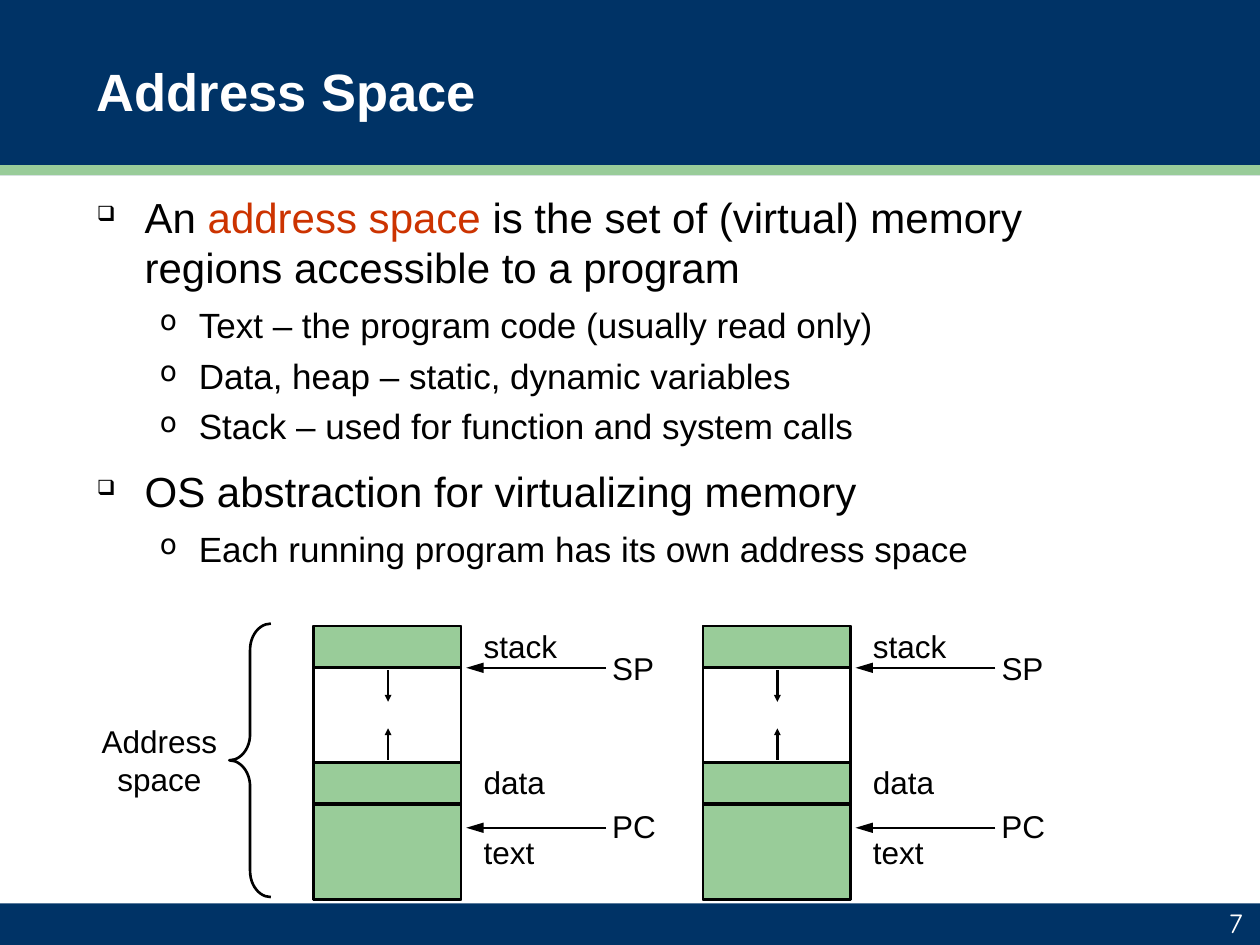
from lxml import etree
from pptx import Presentation
from pptx.dml.color import RGBColor
from pptx.enum import shapes, text
from pptx.oxml import ns
from pptx.util import Inches, Pt

COLORS = {"navy": "003366", "green": "99CC99", "red": "CC3300", "black": "000000", "white": "FFFFFF"}
LEVELS = [
    {"size": 24, "left": 0.38, "indent": -0.38, "before": 40, "after": 10, "bullet": "\u2751", "scale": 50},
    {"size": 20, "left": 0.81, "indent": -0.31, "before": 20, "after": 5, "bullet": "o", "scale": 80},
]
BODY = [
    (0, [("An ", "black"), ("address space", "red"),
         (" is the set of (virtual) memory regions accessible to a program", "black")]),
    (1, [("Text – the program code (usually read only)", "black")]),
    (1, [("Data, heap – static, dynamic variables", "black")]),
    (1, [("Stack – used for function and system calls", "black")]),
    (0, [("OS abstraction for virtualizing memory", "black")]),
    (1, [("Each running program has its own address space", "black")]),
]


def color(name):
    return RGBColor.from_string(COLORS[name])


def add_xml(parent, tag, **attributes):
    return etree.SubElement(parent, ns.qn(tag), {key: str(value) for key, value in attributes.items()})


def format_font(font, size, tint="black", name="Arial", bold=False):
    font.size = Pt(size)
    font.name = name
    font.bold = bold
    font.color.rgb = color(tint)


def add_block(page, left, top, width, height, fill=None, line=None, kind=shapes.MSO_SHAPE.RECTANGLE):
    block = page.shapes.add_shape(kind, Inches(left), Inches(top), Inches(width), Inches(height))
    block.shadow.inherit = False
    if fill:
        block.fill.solid()
        block.fill.fore_color.rgb = color(fill)
    else:
        block.fill.background()
    if line:
        block.line.color.rgb = color("black")
        block.line.width = Pt(line)
    else:
        block.line.fill.background()
    return block


def add_text(page, words, left, top, width, height, size=18, tint="black", name="Arial",
             bold=False, align=text.PP_ALIGN.LEFT, anchor=text.MSO_ANCHOR.TOP):
    box = page.shapes.add_textbox(Inches(left), Inches(top), Inches(width), Inches(height))
    frame = box.text_frame
    frame.word_wrap = True
    frame.vertical_anchor = anchor
    frame.text = words
    para = frame.paragraphs[0]
    para.alignment = align
    format_font(para.runs[0].font, size, tint, name, bold)
    return frame


def add_label(page, words, left, top, width):
    frame = add_text(page, words, left, top, width, 0.4)
    frame.word_wrap = False
    frame.auto_size = text.MSO_AUTO_SIZE.SHAPE_TO_FIT_TEXT


def add_arrow(page, start, end, width, head_width, head_length):
    points = [Inches(value) for value in (*start, *end)]
    arrow = page.shapes.add_connector(shapes.MSO_CONNECTOR.STRAIGHT, *points)
    arrow.line.color.rgb = color("black")
    arrow.line.width = Pt(width)
    add_xml(arrow.line._get_or_add_ln(), "a:tailEnd", type="triangle", w=head_width, len=head_length)
    add_xml(arrow._element.spPr, "a:effectLst")


def format_bullet(para, level):
    style = LEVELS[level]
    para.level = level
    props = para._p.get_or_add_pPr()
    props.set("marL", str(Inches(style["left"])))
    props.set("indent", str(Inches(style["indent"])))
    for tag, percent in (("a:spcBef", style["before"]), ("a:spcAft", style["after"])):
        add_xml(add_xml(props, tag), "a:spcPct", val=percent * 1000)
    add_xml(add_xml(props, "a:buClr"), "a:srgbClr", val=COLORS["black"])
    add_xml(props, "a:buSzPct", val=style["scale"] * 1000)
    add_xml(props, "a:buChar", char=style["bullet"])


def add_body(page):
    box = page.shapes.add_textbox(Inches(0.67), Inches(1.47), Inches(8.67), Inches(5.67))
    frame = box.text_frame
    frame.word_wrap = True
    for index, (level, spans) in enumerate(BODY):
        para = frame.add_paragraph() if index else frame.paragraphs[0]
        format_bullet(para, level)
        for words, tint in spans:
            span = para.add_run()
            span.text = words
            format_font(span.font, LEVELS[level]["size"], tint)


def add_memory(page, left):
    middle = left + 0.59
    add_arrow(page, (middle, 5.32), (middle, 5.57), 1.5, "sm", "sm")
    for top, height, fill in ((4.97, 2.17, None), (6.39, 0.75, "green"),
                              (6.05, 0.33, "green"), (4.97, 0.33, "green")):
        add_block(page, left, top, 1.17, height, fill, 1.5)
    add_arrow(page, (middle, 6.03), (middle, 5.78), 1.5, "sm", "sm")
    for words, top, width in (("stack", 4.93, 0.8), ("text", 6.56, 0.62), ("data", 6.01, 0.71)):
        add_label(page, words, left + 1.25, top, width)
    for words, top, width, level in (("SP", 5.1, 0.55, 5.3), ("PC", 6.36, 0.57, 6.57)):
        add_arrow(page, (left + 2.32, level), (left + 1.21, level), 1, "med", "lg")
        add_label(page, words, left + 2.27, top, width)


def main():
    deck = Presentation()
    deck.slide_width, deck.slide_height = Inches(10), Inches(7.5)
    page = deck.slides.add_slide(deck.slide_layouts[6])
    for top, height, fill in ((0, 1.39, "navy"), (1.31, 0.08, "green"), (7.17, 0.33, "navy")):
        add_block(page, 0, top, 10, height, fill)
    add_text(page, "Address Space", 0.67, 0.05, 8.67, 1.33, size=30, tint="white", bold=True,
             anchor=text.MSO_ANCHOR.MIDDLE)
    add_body(page)
    add_text(page, "7", 7.88, 7.18, 2.08, 0.32, size=16, tint="white", name="Comic Neue",
             align=text.PP_ALIGN.RIGHT, anchor=text.MSO_ANCHOR.BOTTOM)
    brace = add_block(page, 1.82, 4.95, 0.33, 2.17, line=1.5, kind=shapes.MSO_SHAPE.LEFT_BRACE)
    brace.adjustments[0] = 0.63
    add_text(page, "Address space", 0.67, 5.68, 1.19, 0.71, align=text.PP_ALIGN.CENTER)
    for left in (2.49, 5.58):
        add_memory(page, left)
    deck.save("out.pptx")


main()
